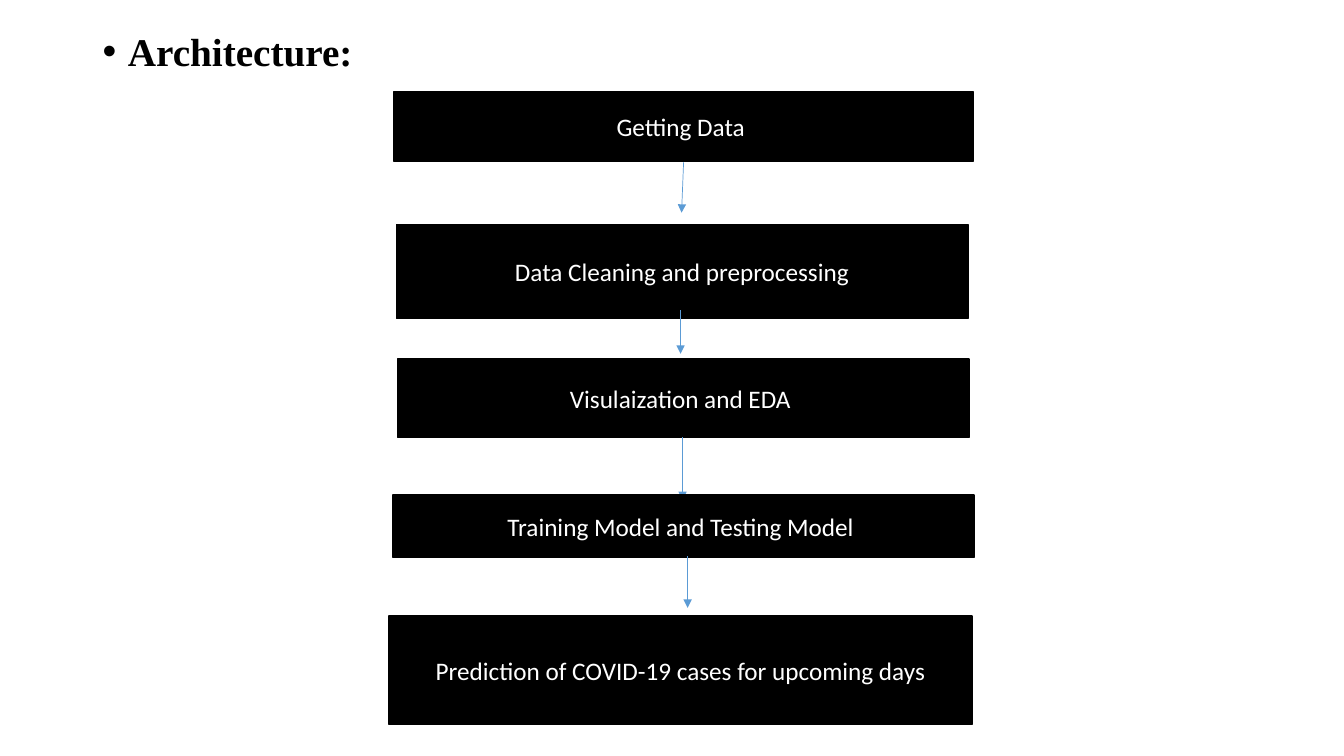
from dataclasses import dataclass
from typing import Optional

from lxml.etree import SubElement
from pptx import Presentation
from pptx.dml.color import RGBColor
from pptx.enum.shapes import MSO_CONNECTOR, MSO_SHAPE
from pptx.enum.text import MSO_ANCHOR, PP_ALIGN
from pptx.oxml.ns import qn
from pptx.util import Inches, Pt

BLACK, WHITE, BLUE = "000000", "FFFFFF", "5B9BD5"
HEADING_FONT = {"name": "Times New Roman", "size": Pt(28), "bold": True}
STEP_FONT = {"name": "Calibri", "size": Pt(18)}


@dataclass
class Arrow:
    x1: float
    y1: float
    x2: float
    y2: float


@dataclass
class Step:
    text: str
    left: float
    top: float
    width: float
    height: float
    arrow: Optional[Arrow] = None
    kind: MSO_SHAPE = MSO_SHAPE.FLOWCHART_PROCESS


STEPS = [
    Step("Getting Data ", 3.91, 0.91, 5.74, 0.69, Arrow(6.78, 1.61, 6.76, 2.11)),
    Step("Data Cleaning and preprocessing", 3.93, 2.23, 5.67, 0.93,
         Arrow(6.75, 3.08, 6.75, 3.51), MSO_SHAPE.RECTANGLE),
    Step("Visulaization and EDA ", 3.94, 3.56, 5.67, 0.78, Arrow(6.77, 4.34, 6.77, 4.96)),
    Step("Training Model and Testing Model ", 3.9, 4.91, 5.76, 0.62,
         Arrow(6.82, 5.52, 6.82, 6.03)),
    Step("Prediction of COVID-19 cases for upcoming days", 3.86, 6.11, 5.78, 1.08),
]


def rgb(value: str) -> RGBColor:
    return RGBColor.from_string(value)


def add_run(p, text: str, color: str, font: dict) -> None:
    r = p.add_run()
    r.text = text
    for name, value in font.items():
        setattr(r.font, name, value)
    r.font.color.rgb = rgb(color)


def add_heading(s, text: str) -> None:
    tf = s.shapes.add_textbox(Inches(0.92), Inches(0.27), Inches(11.5), Inches(6.49)).text_frame
    tf.word_wrap = True
    p = tf.paragraphs[0]
    p.line_spacing = 0.9
    p.space_before = Pt(10)
    add_run(p, text, BLACK, HEADING_FONT)
    # Hanging bullet
    pPr = p._p.get_or_add_pPr()
    pPr.set("marL", str(Inches(0.25)))
    pPr.set("indent", str(Inches(-0.25)))
    SubElement(pPr, qn("a:buFont")).set("typeface", "Arial")
    SubElement(pPr, qn("a:buChar")).set("char", "•")


def add_step(s, step: Step) -> None:
    box = (step.left, step.top, step.width, step.height)
    sp = s.shapes.add_shape(step.kind, *map(Inches, box))
    sp.shadow.inherit = False
    sp.fill.solid()
    sp.fill.fore_color.rgb = rgb(BLACK)
    sp.line.color.rgb = rgb(BLACK)
    sp.line.width = Pt(1)
    tf = sp.text_frame
    tf.word_wrap = True
    tf.vertical_anchor = MSO_ANCHOR.MIDDLE
    p = tf.paragraphs[0]
    p.alignment = PP_ALIGN.CENTER
    add_run(p, step.text, WHITE, STEP_FONT)


def add_arrow(s, arrow: Arrow) -> None:
    ends = (arrow.x1, arrow.y1, arrow.x2, arrow.y2)
    line = s.shapes.add_connector(MSO_CONNECTOR.STRAIGHT, *map(Inches, ends))
    line.line.color.rgb = rgb(BLUE)
    line.line.width = Pt(0.5)
    SubElement(line.line._get_or_add_ln(), qn("a:tailEnd")).set("type", "triangle")
    SubElement(line._element.spPr, qn("a:effectLst"))


def main() -> None:
    prs = Presentation()
    prs.slide_width, prs.slide_height = Inches(13.33), Inches(7.5)
    s = prs.slides.add_slide(prs.slide_layouts[6])

    add_heading(s, "Architecture:")

    # Each step, followed by the arrow to the next one
    for step in STEPS:
        add_step(s, step)
        if step.arrow:
            add_arrow(s, step.arrow)

    prs.save("out.pptx")


if __name__ == "__main__":
    main()
